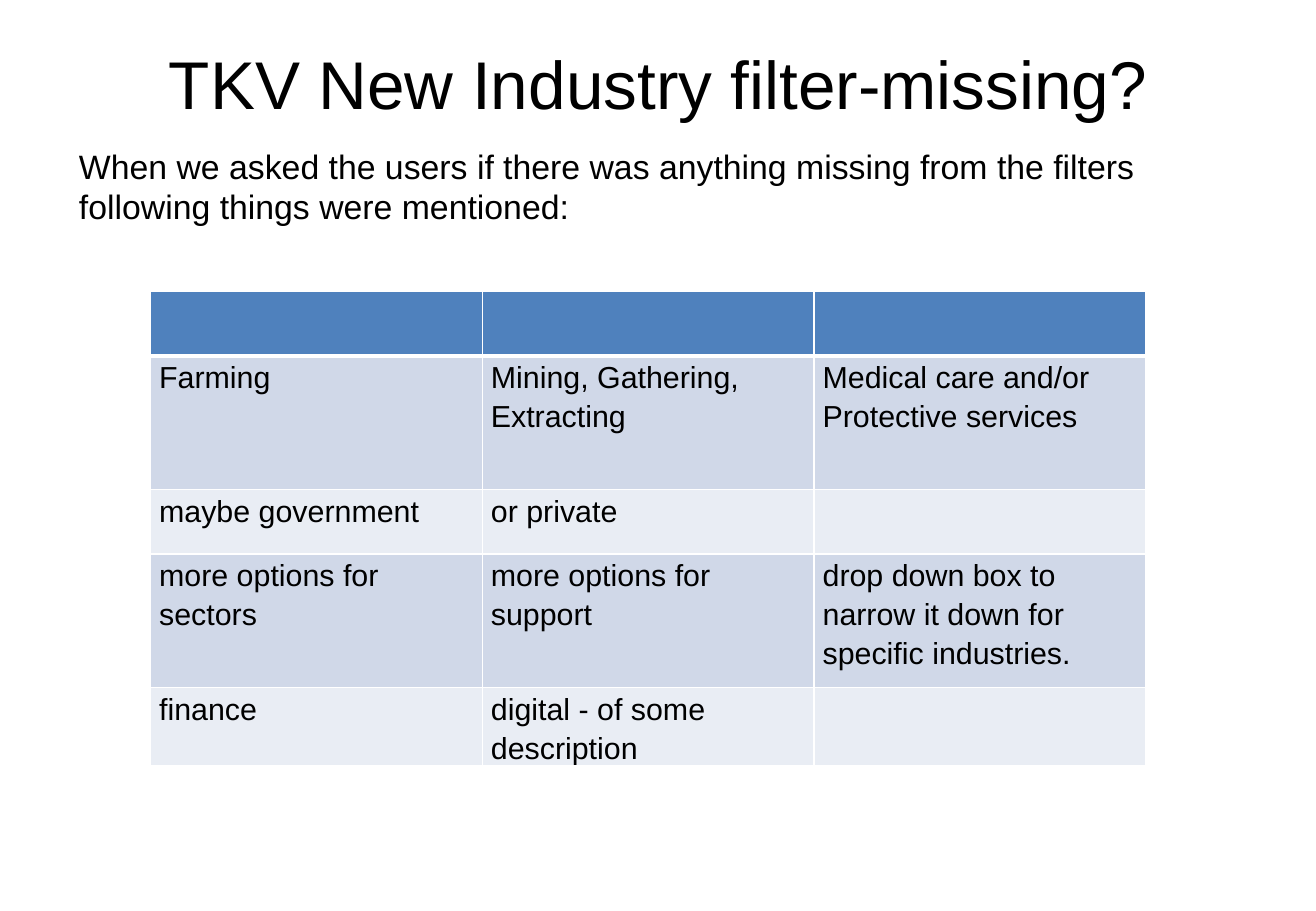
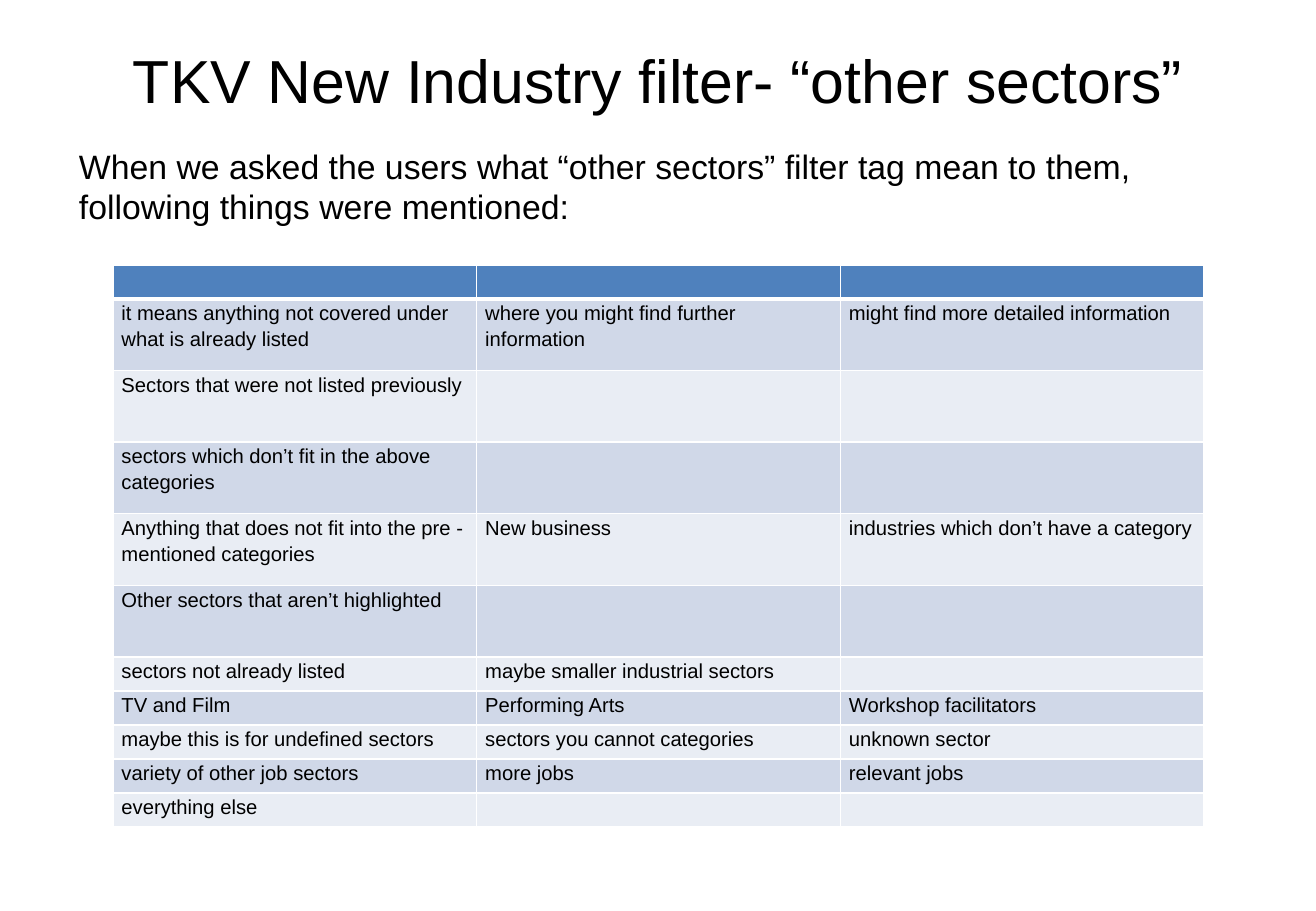
import pptx
import pptx.dml.color
import pptx.enum.text
import pptx.oxml
import pptx.oxml.ns
import pptx.util
from lxml import etree

Inches, Pt = pptx.util.Inches, pptx.util.Pt
qn = pptx.oxml.ns.qn

FONT, INK, WHITE = "Arial", "000000", "FFFFFF"
HEADER_FILL, BAND_FILLS = "4F81BD", ("D0D8E8", "E9EDF4")
TITLE_BOX = (0.54, 0.3, 9.75, 1.25)
INTRO_BOX = (0.54, 1.15, 9.75, 6.05)
COLUMNS = 3
FRAME_FORMAT = {"word_wrap": True,
                "auto_size": pptx.enum.text.MSO_AUTO_SIZE.NONE,
                "vertical_anchor": pptx.enum.text.MSO_ANCHOR.TOP}
CELL_FORMAT = {"margin_left": Inches(0.07), "margin_right": Inches(0.07),
               "margin_top": 0, "margin_bottom": 0}

SLIDES = [
    {
        "title": "TKV New Industry filter-missing?",
        "title_size": 40,
        "intro": "When we asked the users if there was anything missing from the filters "
                 "following things were mentioned:",
        "table_at": (1.24, 2.4),
        "table_width": 8.19,
        "text_size": 18,
        "row_heights": [0.53, 1.1, 0.53, 1.1, 0.53],
        "answers": [
            ("Farming", "Mining, Gathering, Extracting",
             "Medical care and/or Protective services"),
            ("maybe government", "or private", ""),
            ("more options for sectors", "more options for support",
             "drop down box to narrow it down for specific industries."),
            ("finance", "digital - of some description", ""),
        ],
    },
    {
        "title": "TKV New Industry filter- “other sectors”",
        "title_size": 36,
        "intro": "When we asked the users what “other sectors” filter tag mean to them, "
                 "following things were mentioned:",
        "table_at": (0.93, 2.18),
        "table_width": 8.98,
        "text_size": 12,
        "row_heights": [0.28] + [0.59] * 5 + [0.28] * 5,
        "answers": [
            ("it means anything not covered under what is already listed",
             "where you might find further information",
             "might find more detailed information"),
            ("Sectors that were not listed previously", "", ""),
            ("sectors which don’t fit in the above categories", "", ""),
            ("Anything that does not fit into the pre - mentioned categories",
             "New business", "industries which don’t have a category"),
            ("Other sectors that aren’t highlighted", "", ""),
            ("sectors not already listed", "maybe smaller industrial sectors", ""),
            ("TV and Film", "Performing Arts", "Workshop facilitators"),
            ("maybe this is for undefined sectors", "sectors you cannot categories",
             "unknown sector"),
            ("variety of other job sectors", "more jobs", "relevant jobs"),
            ("everything else", "", ""),
        ],
    },
]


def rgb(value):
    return pptx.dml.color.RGBColor.from_string(value)


def set_all(target, values):
    for key, value in values.items():
        setattr(target, key, value)


def write(paragraph, text, size, **layout):
    """Put one run into the paragraph; an empty one only keeps its text size."""
    set_all(paragraph, layout)
    if text:
        run = paragraph.add_run()
        run.text = text
        set_all(run.font, {"name": FONT, "size": Pt(size)})
        run.font.color.rgb = rgb(INK)
    else:
        etree.SubElement(paragraph._p, qn("a:endParaRPr"), sz=str(size * 100))


def fill_box(box, place, text, size, **layout):
    set_all(box, dict(zip(("left", "top", "width", "height"), map(Inches, place))))
    set_all(box.text_frame, FRAME_FORMAT)
    write(box.text_frame.paragraphs[0], text, size, **layout)


def add_borders(cell, widths):
    """Draw white borders; widths maps the sides L, R, T, B to points."""
    properties = cell._tc.get_or_add_tcPr()
    for side, width in widths.items():
        line = etree.SubElement(properties, qn("a:ln" + side), w=str(Pt(width)))
        solid = etree.SubElement(line, qn("a:solidFill"))
        etree.SubElement(solid, qn("a:srgbClr"), val=WHITE)


def add_answers(slide, content):
    heights = content["row_heights"]
    left, top = content["table_at"]
    table = slide.shapes.add_table(
        len(heights), COLUMNS, Inches(left), Inches(top),
        Inches(content["table_width"]), Inches(sum(heights))).table
    for row, height in zip(table.rows, heights):
        row.height = Inches(height)
    for r, texts in enumerate([("",) * COLUMNS] + content["answers"]):
        fill = BAND_FILLS[(r - 1) % 2] if r else HEADER_FILL
        borders = {"L": 1, "R": 1, "T": 3 if r == 1 else 1, "B": 1 if r else 3}
        for c, text in enumerate(texts):
            cell = table.cell(r, c)
            set_all(cell, CELL_FORMAT)
            add_borders(cell, borders)
            cell.fill.solid()
            cell.fill.fore_color.rgb = rgb(fill)
            write(cell.text_frame.paragraphs[0], text, content["text_size"],
                  line_spacing=1.15)


def main():
    deck = pptx.Presentation()
    deck.slide_width, deck.slide_height = Inches(10.83), Inches(7.5)
    title_only = deck.slide_layouts[5]
    for content in SLIDES:
        slide = deck.slides.add_slide(title_only)
        fill_box(slide.shapes.title, TITLE_BOX, content["title"], content["title_size"],
                 alignment=pptx.enum.text.PP_ALIGN.CENTER)
        intro = slide.shapes.add_textbox(0, 0, 0, 0)
        fill_box(intro, INTRO_BOX, content["intro"], 20, space_before=Pt(4))
        intro.text_frame.margin_left = Inches(0.11)
        add_answers(slide, content)
    deck.save("out.pptx")


if __name__ == "__main__":
    main()
